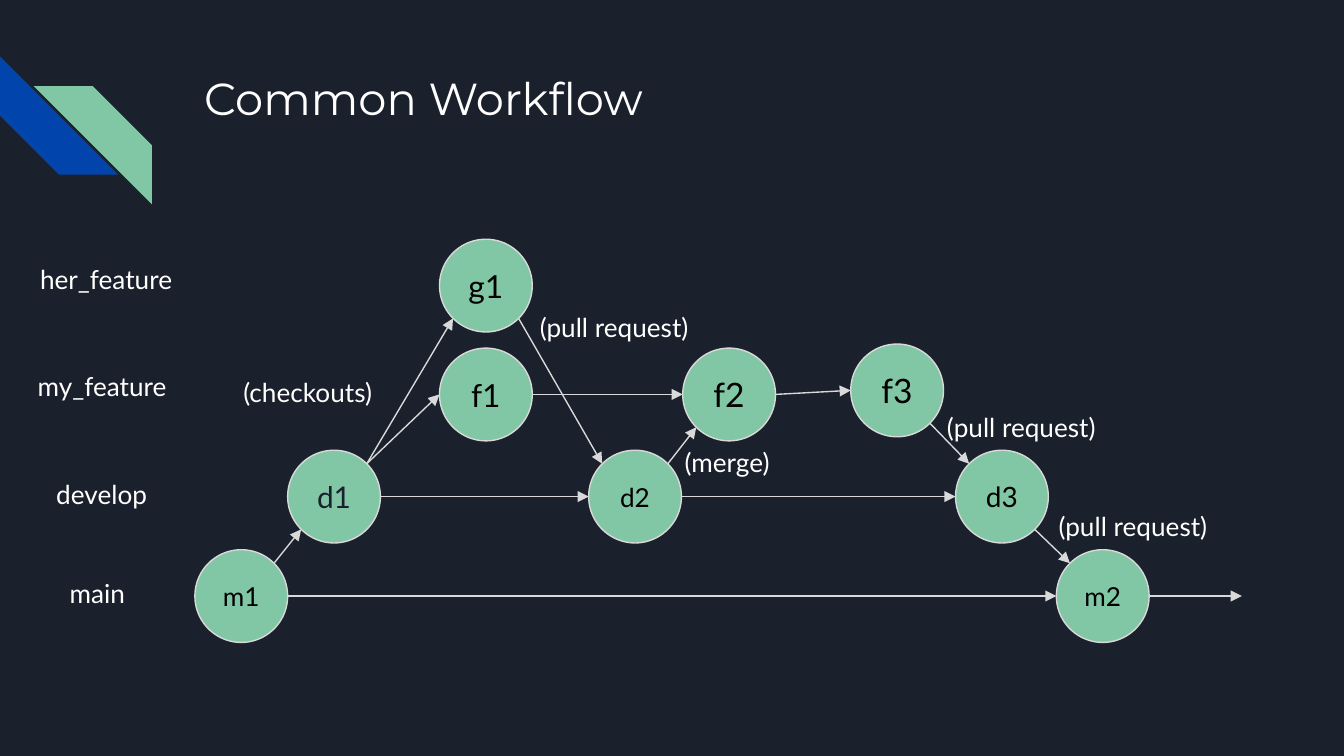
from math import sqrt

from lxml.etree import SubElement
from pptx import Presentation
from pptx.dml.color import RGBColor
from pptx.enum.shapes import MSO_CONNECTOR, MSO_SHAPE
from pptx.enum.text import MSO_ANCHOR, PP_ALIGN
from pptx.oxml.ns import qn
from pptx.util import Inches, Pt

NAVY, BLUE, GREEN = "1B212C", "0145AC", "82C7A5"
WHITE, BLACK, GREY = "FFFFFF", "000000", "D9D9D9"
SIZE = 0.69  # commit circle diameter
LEFT, CENTER = PP_ALIGN.LEFT, PP_ALIGN.CENTER

# Commits: name -> left, top, font size, text colour
COMMITS = {
    "m1": (1.45, 4.09, 14, BLACK),
    "m2": (7.86, 4.09, 14, BLACK),
    "d1": (2.14, 3.35, 16, NAVY),
    "d2": (4.38, 3.35, 14, BLACK),
    "d3": (7.11, 3.35, 15, BLACK),
    "f1": (3.27, 2.59, 17, BLACK),
    "f2": (5.08, 2.59, 18, BLACK),
    "f3": (6.33, 2.56, 18, BLACK),
    "g1": (3.27, 1.78, 17, BLACK),
}

# Arrows: from commit, side, to commit, side
ARROWS = [
    ("m1", "right", "m2", "left"),
    ("m1", "upper right", "d1", "lower left"),
    ("d1", "upper right", "f1", "left"),
    ("d1", "upper right", "g1", "lower left"),
    ("d1", "right", "d2", "left"),
    ("g1", "lower right", "d2", "upper left"),
    ("f1", "right", "f2", "left"),
    ("d2", "upper right", "f2", "lower left"),
    ("f2", "right", "f3", "left"),
    ("d2", "right", "d3", "left"),
    ("f3", "lower right", "d3", "upper left"),
    ("d3", "lower right", "m2", "upper left"),
]
MAIN_END = 9.24  # where the main branch arrow stops

# Labels: text, left, top, width, height, alignment
LABELS = [
    ("her_feature", 0.14, 1.86, 1.3, 0.53, CENTER),
    ("my_feature", 0.11, 2.66, 1.3, 0.53, CENTER),
    ("develop", 0.32, 3.46, 0.94, 0.47, LEFT),
    ("main", 0.42, 4.2, 0.69, 0.47, LEFT),
    ("(checkouts)", 1.64, 2.7, 1.3, 0.47, CENTER),
    ("(pull request)", 3.83, 2.22, 1.48, 0.47, CENTER),
    ("(merge)", 4.67, 3.22, 1.48, 0.47, CENTER),
    ("(pull request)", 6.86, 2.96, 1.48, 0.47, CENTER),
    ("(pull request)", 7.69, 3.7, 1.48, 0.47, CENTER),
]

# Unit directions from a circle's centre
DIAG = 1 / sqrt(2)
SIDES = {
    "left": (-1, 0), "right": (1, 0),
    "upper left": (-DIAG, -DIAG), "upper right": (DIAG, -DIAG),
    "lower left": (-DIAG, DIAG), "lower right": (DIAG, DIAG),
}


def rgb(color):
    return RGBColor.from_string(color)


def write(shape, text, size, color, align=CENTER, font="Lato", anchor=MSO_ANCHOR.TOP):
    tf = shape.text_frame
    frame = {"word_wrap": True, "vertical_anchor": anchor}
    frame.update({f"margin_{side}": Inches(0.1) for side in ("left", "top", "right", "bottom")})
    for name, value in frame.items():
        setattr(tf, name, value)
    p = tf.paragraphs[0]
    p.alignment = align
    r = p.add_run()
    r.text = text
    for name, value in {"size": Pt(size), "name": font}.items():
        setattr(r.font, name, value)
    r.font.color.rgb = rgb(color)


def add_label(s, text, left, top, width, height, align, size=14, font="Lato"):
    box = s.shapes.add_textbox(*map(Inches, (left, top, width, height)))
    write(box, text, size, WHITE, align, font)


def add_filled(s, kind, left, top, size, color):
    sp = s.shapes.add_shape(kind, *map(Inches, (left, top, size, size)))
    sp.shadow.inherit = False
    sp.fill.solid()
    sp.fill.fore_color.rgb = rgb(color)
    sp.line.fill.background()
    return sp


def outline(shape):
    shape.line.color.rgb = rgb(GREY)
    shape.line.width = Pt(0.75)


def side_point(commit, side):
    left, top = COMMITS[commit][:2]
    dx, dy = SIDES[side]
    return left + SIZE / 2 * (1 + dx), top + SIZE / 2 * (1 + dy)


def add_arrow(s, start, end):
    line = s.shapes.add_connector(MSO_CONNECTOR.STRAIGHT, *map(Inches, (*start, *end)))
    outline(line)
    SubElement(line._element.spPr.find(qn("a:ln")), qn("a:tailEnd"), type="triangle")
    SubElement(line._element.spPr, qn("a:effectLst"))


# 16:9 page
prs = Presentation()
prs.slide_width = Inches(10)
prs.slide_height = Inches(10 * 9 / 16)
s = prs.slides.add_slide(prs.slide_layouts[6])
s.background.fill.solid()
s.background.fill.fore_color.rgb = rgb(NAVY)

# Corner stripes
blue = add_filled(s, MSO_SHAPE.DIAGONAL_STRIPE, 0, 0.42, 0.88, BLUE)
blue.rotation = 270
green = add_filled(s, MSO_SHAPE.DIAGONAL_STRIPE, 0.25, 0.64, 0.88, GREEN)
green._element.spPr.xfrm.set("flipH", "1")

# Title
add_label(s, "Common Workflow", 1.42, 0.43, 7.7, 1, LEFT, 24, "Montserrat")

# Commits
for name, (left, top, size, color) in COMMITS.items():
    circle = add_filled(s, MSO_SHAPE.OVAL, left, top, SIZE, GREEN)
    outline(circle)
    write(circle, name, size, color, anchor=MSO_ANCHOR.MIDDLE)

# Arrows between commits, then the open end of main
for source, out_side, target, in_side in ARROWS:
    add_arrow(s, side_point(source, out_side), side_point(target, in_side))
x, y = side_point("m2", "right")
add_arrow(s, (x, y), (MAIN_END, y))

# Branch and step labels
for label in LABELS:
    add_label(s, *label)

prs.save("out.pptx")
